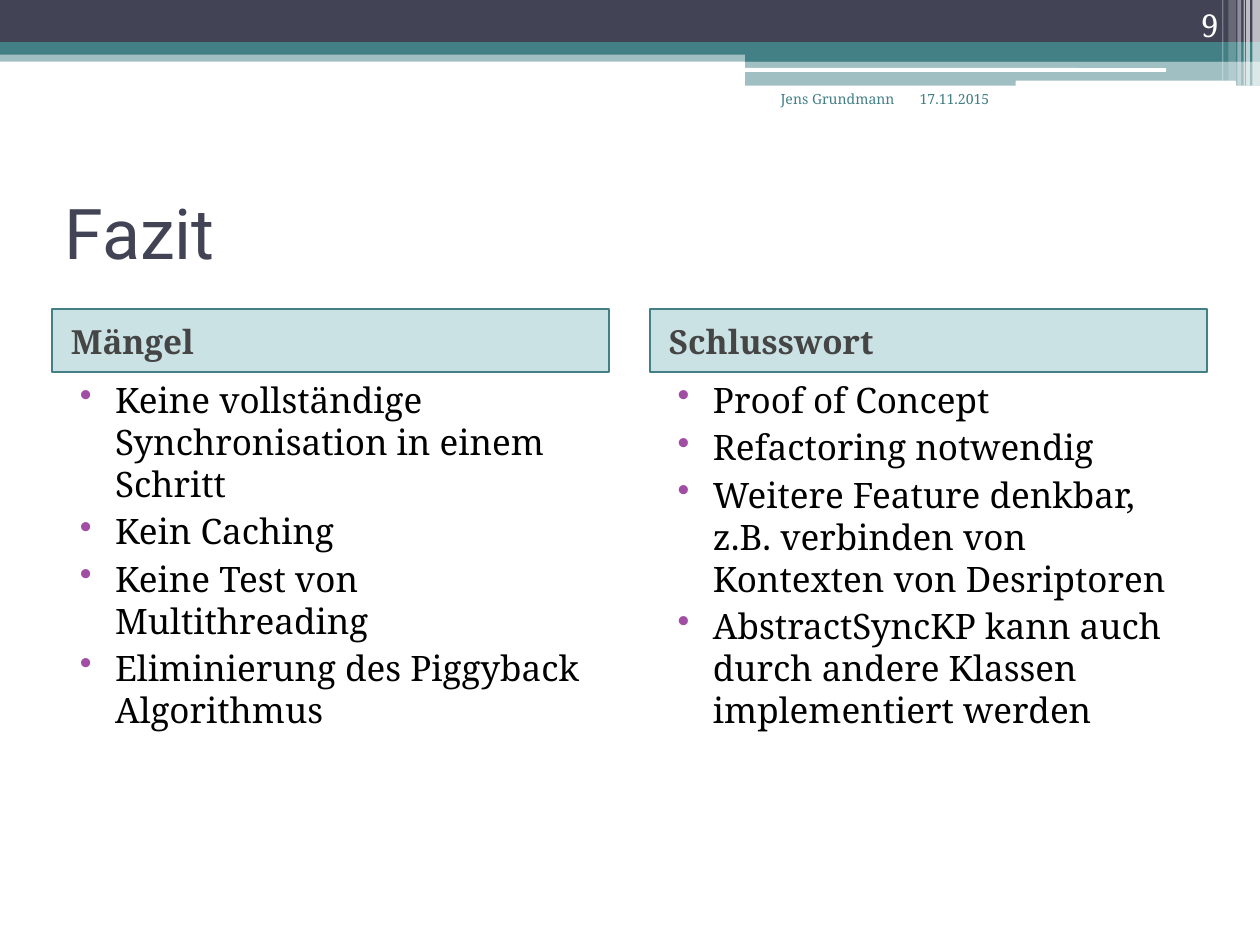
from lxml import etree
from pptx import Presentation
from pptx import util as u
from pptx.dml.color import RGBColor
from pptx.enum import shapes, text
from pptx.oxml import ns

NAVY = RGBColor(0x42, 0x44, 0x56)
TEAL = RGBColor(0x43, 0x80, 0x86)
AQUA = RGBColor(0x32, 0x8E, 0x97)
PLUM = RGBColor(0xA0, 0x4D, 0xA3)
GREY = RGBColor(0x45, 0x45, 0x45)
WHITE = RGBColor(0xFF, 0xFF, 0xFF)
BLACK = RGBColor(0, 0, 0)
COLS, ROWS = 100, 75
SERIF, SANS = "Noto Serif", "Roboto"
RECT = shapes.MSO_SHAPE.RECTANGLE
ROUND = shapes.MSO_SHAPE.ROUNDED_RECTANGLE
MID, LOW, TOP = (text.MSO_ANCHOR.MIDDLE, text.MSO_ANCHOR.BOTTOM,
                 text.MSO_ANCHOR.TOP)
LEFT, RIGHT = text.PP_ALIGN.LEFT, text.PP_ALIGN.RIGHT

deck = Presentation()
deck.slide_width, deck.slide_height = u.Inches(10), u.Inches(7.5)
slide = deck.slides.add_slide(deck.slide_layouts[6])


def place(box):
    """Turn a box in grid columns and rows into slide lengths."""
    col, row = deck.slide_width / COLS, deck.slide_height / ROWS
    return [int(n * size) for n, size in zip(box, (col, row, col, row))]


def inner(box, x, y, w, h):
    """Shift a part into the box that holds it."""
    return box[0] + x, box[1] + y, w, h


def bar(box, color, share=100, kind=RECT):
    """Draw a plain bar with the given opacity in percent."""
    shape = slide.shapes.add_shape(kind, *place(box))
    shape.shadow.inherit = False
    shape.fill.solid()
    shape.fill.fore_color.rgb = color
    shape.line.fill.background()
    if share < 100:
        tint = shape.fill._xPr.find(".//" + ns.qn("a:srgbClr"))
        etree.SubElement(tint, ns.qn("a:alpha"), val=str(share * 1000))
    return shape


def dot(para):
    """Give a paragraph a plum bullet with a hanging indent."""
    props = para._p.get_or_add_pPr()
    props.set("marL", str(u.Inches(0.4)))
    props.set("indent", str(u.Inches(-0.28)))
    tint = etree.SubElement(props, ns.qn("a:buClr"))
    etree.SubElement(tint, ns.qn("a:srgbClr"), val=str(PLUM))
    etree.SubElement(props, ns.qn("a:buChar"), char="•")


def write(shape, lines, size, color, name=SERIF, bold=False, anchor=TOP,
          **form):
    """Fill a shape with paragraphs of one style."""
    frame = shape.text_frame
    frame.word_wrap = True
    frame.vertical_anchor = anchor
    font = {"size": u.Pt(size), "name": name, "bold": bold}
    for i, line in enumerate(lines):
        para = frame.add_paragraph() if i else frame.paragraphs[0]
        for key, value in {"alignment": LEFT, **form}.items():
            setattr(para, key, value)
        run = para.add_run()
        run.text = line
        for key, value in font.items():
            setattr(run.font, key, value)
        run.font.color.rgb = color
    return frame


def label(box, *args, **form):
    """Add a text box and write into it."""
    return write(slide.shapes.add_textbox(*place(box)), *args, **form)


def band(box):
    """Draw the layered bars along the top edge."""
    wide = box[2]
    step = 59.15
    rest = wide - step
    for x, y, w, h, color, share, kind in (
            (0, 4, wide, 0.9, TEAL, 50, RECT),
            (0, 0, wide, 3.4, NAVY, 100, RECT),
            (0, 3.35, wide, 1, TEAL, 100, RECT),
            (step, 3.9, rest, 1, TEAL, 100, RECT),
            (step, 4.8, rest, 2, TEAL, 50, RECT),
            (step - 0.1, 5.4, 33.5, 0.3, WHITE, 100, ROUND),
            (80.6, 6.4, 17.5, 0.5, WHITE, 100, ROUND)):
        bar(inner(box, x, y, w, h), color, share, kind)


def strips(box):
    """Draw the pale upright strips at the right edge."""
    for x, w, h, share in ((2.4, 0.6, 6.8, 65), (1.9, 0.3, 6.8, 65),
                           (1.7, 0.1, 6.8, 60), (1.2, 0.3, 6.8, 40),
                           (0.5, 0.6, 6.4, 20), (0, 0.1, 6.4, 30)):
        bar(inner(box, x, 0, w, h), WHITE, share)


def notes(box):
    """Place author, date and page number."""
    label(inner(box, 0, 6.7, 14.5, 5), ["Jens Grundmann"], 8, TEAL,
          alignment=RIGHT)
    label(inner(box, 14.5, 6.7, 10.5, 5), ["17.11.2015"], 8, TEAL)
    label(inner(box, 31.9, 0, 8.3, 4), ["9"], 18, WHITE, anchor=LOW,
          alignment=RIGHT)


def panel(box, head, items):
    """Place a tinted heading with a bullet list below it."""
    wide, tall = box[2:]
    cap = 5
    tile = bar(inner(box, 0, 0, wide, cap), AQUA, 25)
    tile.line.color.rgb = TEAL
    tile.line.width = u.Pt(1)
    frame = write(tile, [head], 19, GREY, bold=True, anchor=MID,
                  space_before=u.Pt(3))
    frame.paragraphs[0]._p.get_or_add_pPr().set("marL", str(u.Inches(0.05)))
    body = label(inner(box, 0, cap, wide, tall - cap), items, 20, BLACK,
                 space_before=u.Pt(3))
    for para in body.paragraphs:
        dot(para)


PANELS = {
    "Mängel": ["Keine vollständige Synchronisation in einem Schritt",
               "Kein Caching", "Keine Test von Multithreading",
               "Eliminierung des Piggyback Algorithmus"],
    "Schlusswort": ["Proof of Concept", "Refactoring notwendig",
                    "Weitere Feature denkbar, z.B. verbinden von "
                    "Kontexten von Desriptoren",
                    "AbstractSyncKP kann auch durch andere Klassen "
                    "implementiert werden"],
}
EDGE, WIDE, GAP = 4.15, 44.2, 3.25

band((0, 0, COLS, 6.8))
strips((97, 0, 3, 6.8))
label((EDGE, 12.5, COLS - 2 * EDGE, 11.7), ["Fazit"], 40, NAVY, name=SANS,
      anchor=MID)
for i, (head, items) in enumerate(PANELS.items()):
    panel((EDGE + i * (WIDE + GAP), 24.55, WIDE, 47.5), head, items)
notes((57.5, 0, 42.5, 11.7))
deck.save("out.pptx")
